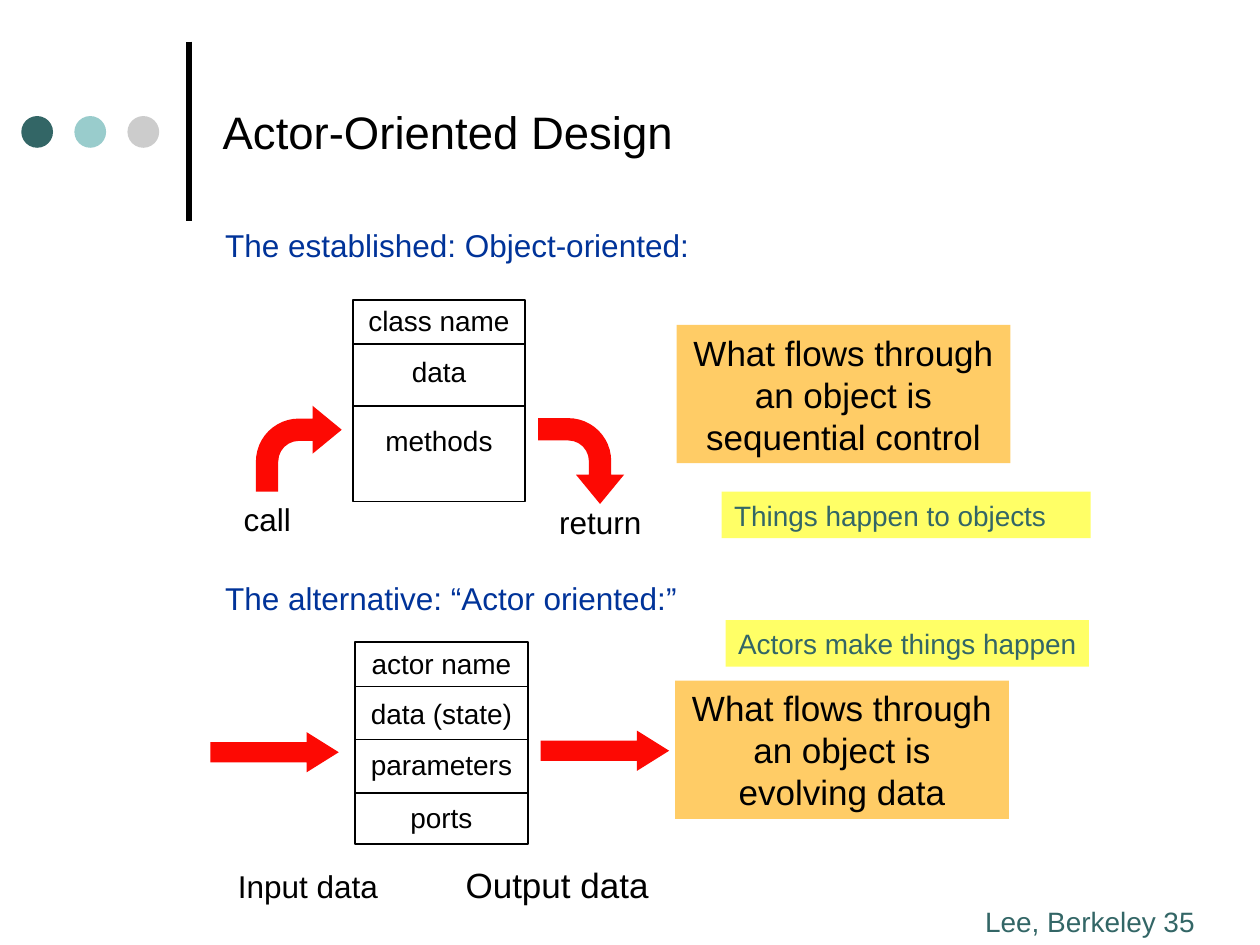
from dataclasses import dataclass

from lxml import etree
from pptx import Presentation
from pptx.dml.color import RGBColor
from pptx.enum.shapes import MSO_CONNECTOR, MSO_SHAPE
from pptx.enum.text import MSO_ANCHOR, PP_ALIGN
from pptx.oxml.ns import qn
from pptx.util import Cm, Pt

LEFT, CENTER, RIGHT = PP_ALIGN.LEFT, PP_ALIGN.CENTER, PP_ALIGN.RIGHT
MIDDLE = MSO_ANCHOR.MIDDLE
STRAIGHT = MSO_CONNECTOR.STRAIGHT
RECTANGLE, OVAL = MSO_SHAPE.RECTANGLE, MSO_SHAPE.OVAL
RIGHT_ARROW, BENT_ARROW = MSO_SHAPE.RIGHT_ARROW, MSO_SHAPE.BENT_ARROW


@dataclass(frozen=True)
class Theme:
    font: str = "Arial"
    ink: str = "000000"
    heading: str = "003399"
    teal: str = "336666"
    aqua: str = "99CCCC"
    gray: str = "CCCCCC"
    arrow: str = "FD0903"
    orange: str = "FFCC66"
    yellow: str = "FFFF66"
    title_size: int = 26
    large_size: int = 20
    medium_size: int = 18
    small_size: int = 16


THEME = Theme()

deck = Presentation()
deck.slide_width, deck.slide_height = Cm(25.4), Cm(19.05)
page = deck.slides.add_slide(deck.slide_layouts[6])


def add_box(kind, left, top, width, height, fill=None, outline=None):
    """Add a shape, or a text box when kind is None; lengths are in cm."""
    place = [Cm(value) for value in (left, top, width, height)]
    if kind is None:
        return page.shapes.add_textbox(*place)
    box = page.shapes.add_shape(kind, *place)
    box.shadow.inherit = False
    if fill:
        box.fill.solid()
        box.fill.fore_color.rgb = RGBColor.from_string(fill)
    else:
        box.fill.background()
    if outline:
        box.line.color.rgb = RGBColor.from_string(outline)
        box.line.width = Pt(1)
    else:
        box.line.fill.background()
    return box


def write(box, text, size, color=THEME.ink, align=LEFT, wrap=False):
    frame = box.text_frame
    frame.word_wrap, frame.vertical_anchor = wrap, MIDDLE
    para = frame.paragraphs[0]
    para.alignment = align
    span = para.add_run()
    span.text = text
    for name, value in {"name": THEME.font, "size": Pt(size)}.items():
        setattr(span.font, name, value)
    span.font.color.rgb = RGBColor.from_string(color)


# Title, its rule and the three dots
rules = [(3.81, 0.84, 3.81, 4.45, 3)]
for index, color in enumerate((THEME.teal, THEME.aqua, THEME.gray)):
    add_box(OVAL, 0.43 + 1.07 * index, 2.34, 0.64, 0.64, fill=color)
title = add_box(None, 4.24, 0.53, 20.52, 4.24)
write(title, "Actor-Oriented Design", THEME.title_size, wrap=True)

# Class and actor diagrams: left, top, dividers, then (label, label top)
DIAGRAM_WIDTH, DIAGRAM_HEIGHT = 3.48, 4.06
diagrams = [
    (7.11, 6.05, (6.93, 8.18),
     [("class name", 5.99), ("data", 7.01), ("methods", 8.41)]),
    (7.16, 12.95, (13.84, 14.91, 15.98),
     [("actor name", 12.9), ("data (state)", 13.92),
      ("parameters", 14.94), ("ports", 16)]),
]
for left, top, dividers, labels in diagrams:
    add_box(RECTANGLE, left, top, DIAGRAM_WIDTH, DIAGRAM_HEIGHT, outline=THEME.ink)
    rules += [(left, y, left + DIAGRAM_WIDTH, y, 1) for y in dividers]
    for label, label_top in labels:
        label_box = add_box(None, left, label_top, DIAGRAM_WIDTH, 0.94)
        write(label_box, label, THEME.small_size, align=CENTER)

for x1, y1, x2, y2, weight in rules:
    rule = page.shapes.add_connector(STRAIGHT, Cm(x1), Cm(y1), Cm(x2), Cm(y2))
    rule.line.color.rgb = RGBColor.from_string(THEME.ink)
    rule.line.width = Pt(weight)
    etree.SubElement(rule._element.spPr, qn("a:effectLst"))

# Arrows into and out of each diagram
BEND = (0.26, 0.28, 0.34, 0.5)
STRAIGHT_HEAD = (0.5, 0.8)
arrows = [
    (BENT_ARROW, 5.16, 8.18, 1.73, 1.73, 0, BEND),
    (BENT_ARROW, 10.85, 8.43, 1.73, 1.73, 90, BEND),
    (RIGHT_ARROW, 4.24, 14.76, 2.59, 0.81, 0, STRAIGHT_HEAD),
    (RIGHT_ARROW, 10.9, 14.73, 2.59, 0.81, 0, STRAIGHT_HEAD),
]
for kind, left, top, width, height, rotation, adjustments in arrows:
    arrow = add_box(kind, left, top, width, height, fill=THEME.arrow)
    arrow.rotation = rotation
    for index, value in enumerate(adjustments):
        arrow.adjustments[index] = value

# Headings, arrow captions and the footer
captions = [
    ("The established: Object-oriented:", 4.29, 4.42, 10.5, 1.02,
     THEME.medium_size, THEME.heading, LEFT),
    ("The alternative: “Actor oriented:”", 4.29, 11.54, 10.5, 1.02,
     THEME.medium_size, THEME.heading, LEFT),
    ("call", 4.14, 9.96, 2.5, 1.02, THEME.medium_size, THEME.ink, CENTER),
    ("return", 10.6, 10.01, 3, 1.02, THEME.medium_size, THEME.ink, CENTER),
    ("Input data", 4.21, 17.35, 4, 1.02, THEME.medium_size, THEME.ink, CENTER),
    ("Output data", 8.33, 17.27, 5, 1.12, THEME.large_size, THEME.ink, RIGHT),
    ("Lee, Berkeley 35", 19.61, 18.11, 5.5, 0.94,
     THEME.small_size, THEME.teal, LEFT),
]
for text, left, top, width, height, size, color, align in captions:
    caption = add_box(None, left, top, width, height)
    write(caption, text, size, color, align, wrap=True)

# Coloured notes on the right
notes = [
    ("What flows through an object is sequential control", 13.64, 6.55),
    ("What flows through an object is evolving data", 13.61, 13.72),
]
for text, left, top in notes:
    note = add_box(RECTANGLE, left, top, 6.73, 2.79, fill=THEME.orange)
    write(note, text, THEME.large_size, align=CENTER, wrap=True)

slogans = [
    ("Things happen to objects", 14.55, 9.91, 7.44, True),
    ("Actors make things happen", 14.63, 12.5, 7.32, False),
]
for text, left, top, width, wrap in slogans:
    slogan = add_box(RECTANGLE, left, top, width, 0.94, fill=THEME.yellow)
    write(slogan, text, THEME.small_size, THEME.teal, wrap=wrap)

deck.save("out.pptx")
